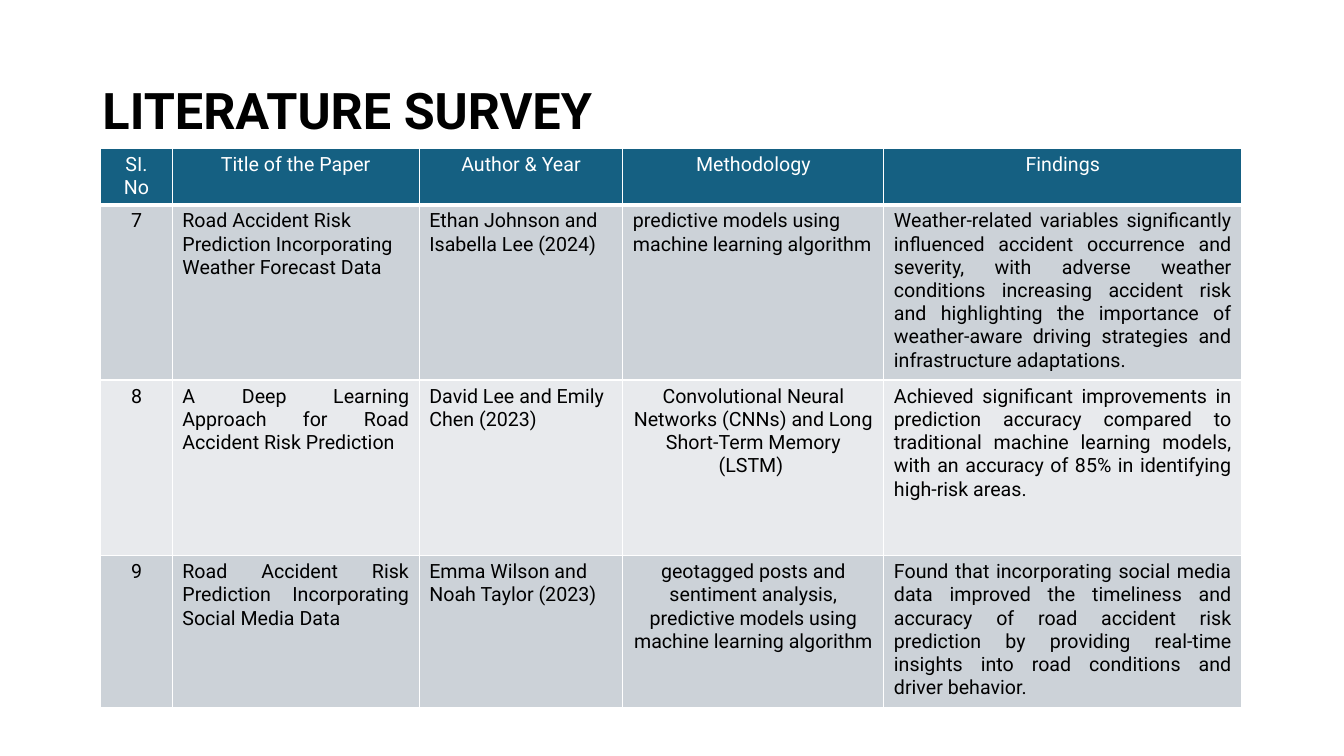
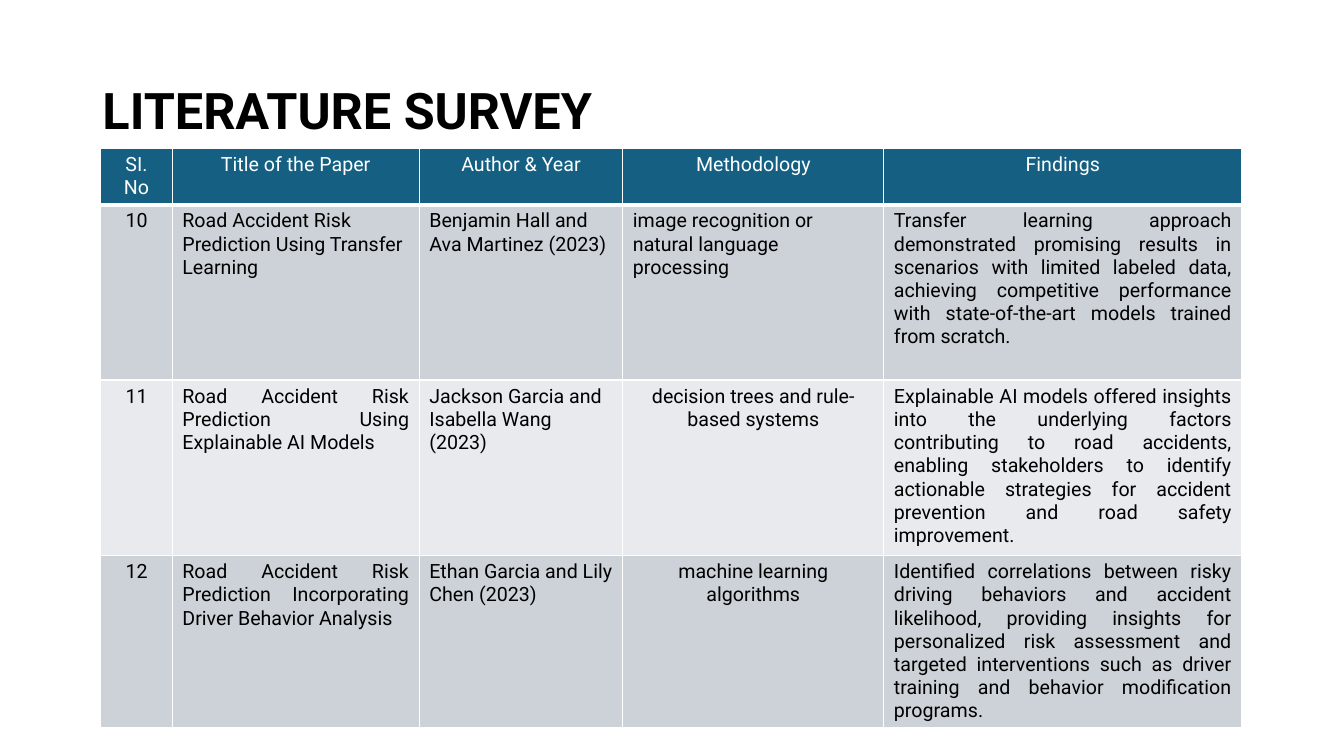
import pptx
import pptx.dml.color
import pptx.enum.text
import pptx.oxml.ns
import pptx.util
from lxml import etree

RGBColor = pptx.dml.color.RGBColor
ALIGN = pptx.enum.text.PP_ALIGN

BLACK = RGBColor(0x00, 0x00, 0x00)
WHITE = RGBColor(0xFF, 0xFF, 0xFF)
TEAL = RGBColor(0x15, 0x60, 0x82)
GREY = RGBColor(0xCC, 0xD2, 0xD8)
PALE_GREY = RGBColor(0xE8, 0xEA, 0xED)

GRID_COLUMNS, GRID_ROWS = 160, 90
TITLE_AREA = (11, 4.8, 138, 17.4)
SURVEY_CORNER = (12, 17.64)
SURVEY_WIDTHS = (8.52, 29.4, 24.24, 31.08, 42.6)
SURVEY_HEIGHTS = (5.16, 20.88, 20.88, 18.12)

HEADINGS = ("SI. No", "Title of the Paper", "Author & Year", "Methodology", "Findings")
HEADING_ALIGN = (ALIGN.CENTER,) * len(HEADINGS)
FIRST_PAPER_ALIGN = (ALIGN.CENTER, ALIGN.LEFT, ALIGN.LEFT, ALIGN.LEFT, ALIGN.JUSTIFY)
PAPER_ALIGN = (ALIGN.CENTER, ALIGN.JUSTIFY, ALIGN.LEFT, ALIGN.CENTER, ALIGN.JUSTIFY)

SURVEYS = (
    (
        ("7", "Road Accident Risk Prediction Incorporating Weather Forecast Data",
         "Ethan Johnson and Isabella Lee (2024)",
         "predictive models using machine learning algorithm",
         "Weather-related variables significantly influenced accident occurrence and "
         "severity, with adverse weather conditions increasing accident risk and "
         "highlighting the importance of weather-aware driving strategies and "
         "infrastructure adaptations."),
        ("8", "A Deep Learning Approach for Road Accident Risk Prediction",
         "David Lee and Emily Chen (2023)",
         "Convolutional Neural Networks (CNNs) and Long Short-Term Memory (LSTM) ",
         "Achieved significant improvements in prediction accuracy compared to "
         "traditional machine learning models, with an accuracy of 85% in identifying "
         "high-risk areas."),
        ("9", "Road Accident Risk Prediction Incorporating Social Media Data",
         "Emma Wilson and Noah Taylor (2023)",
         "geotagged posts and sentiment analysis, predictive models using machine "
         "learning algorithm",
         "Found that incorporating social media data improved the timeliness and "
         "accuracy of road accident risk prediction by providing real-time insights "
         "into road conditions and driver behavior."),
    ),
    (
        ("10", "Road Accident Risk Prediction Using Transfer Learning",
         "Benjamin Hall and Ava Martinez (2023)",
         "image recognition or natural language processing",
         "Transfer learning approach demonstrated promising results in scenarios with "
         "limited labeled data, achieving competitive performance with "
         "state-of-the-art models trained from scratch."),
        ("11", "Road Accident Risk Prediction Using Explainable AI Models",
         "Jackson Garcia and Isabella Wang (2023)",
         "decision trees and rule-based systems",
         "Explainable AI models offered insights into the underlying factors "
         "contributing to road accidents, enabling stakeholders to identify actionable "
         "strategies for accident prevention and road safety improvement."),
        ("12", "Road Accident Risk Prediction Incorporating Driver Behavior Analysis",
         "Ethan Garcia and Lily Chen (2023)",
         "machine learning algorithms",
         "Identified correlations between risky driving behaviors and accident "
         "likelihood, providing insights for personalized risk assessment and targeted "
         "interventions such as driver training and behavior modification programs."),
    ),
)


class SurveyDeck:
    font = "Roboto"
    title_size = 36
    cell_size = 14

    def __init__(self):
        self.deck = pptx.Presentation()
        self.deck.slide_width = pptx.util.Inches(13.33)
        self.deck.slide_height = pptx.util.Inches(7.5)
        self.slide = None

    def x(self, columns):
        return round(self.deck.slide_width * columns / GRID_COLUMNS)

    def y(self, rows):
        return round(self.deck.slide_height * rows / GRID_ROWS)

    def add_run(self, paragraph, text, size, color, bold=False):
        run = paragraph.add_run()
        run.text = text
        run.font.name = self.font
        run.font.size = pptx.util.Pt(size)
        run.font.bold = bold
        run.font.color.rgb = color

    def add_slide(self, heading):
        self.slide = self.deck.slides.add_slide(self.deck.slide_layouts[5])
        title = self.slide.shapes.title
        left, top, width, height = TITLE_AREA
        title.left, title.top = self.x(left), self.y(top)
        title.width, title.height = self.x(width), self.y(height)
        frame = title.text_frame
        frame.word_wrap = True
        frame.auto_size = pptx.enum.text.MSO_AUTO_SIZE.NONE
        frame.vertical_anchor = pptx.enum.text.MSO_ANCHOR.MIDDLE
        paragraph = frame.paragraphs[0]
        paragraph.alignment = ALIGN.LEFT
        paragraph.line_spacing = 0.9
        self.add_run(paragraph, heading, self.title_size, BLACK, bold=True)

    def add_borders(self, cell, bottom):
        properties = cell._tc.get_or_add_tcPr()
        qn = pptx.oxml.ns.qn
        for side, points in (("L", 1), ("R", 1), ("T", 1), ("B", bottom)):
            border = etree.SubElement(properties, qn(f"a:ln{side}"), w=str(pptx.util.Pt(points)))
            fill = etree.SubElement(border, qn("a:solidFill"))
            etree.SubElement(fill, qn("a:srgbClr"), val=str(WHITE))

    def add_table_row(self, cells, texts, alignments, fill, color, bottom=1):
        for cell, text, alignment in zip(cells, texts, alignments):
            self.add_borders(cell, bottom)
            cell.fill.solid()
            cell.fill.fore_color.rgb = fill
            paragraph = cell.text_frame.paragraphs[0]
            paragraph.alignment = alignment
            self.add_run(paragraph, text, self.cell_size, color)

    def add_survey(self, papers):
        left, top = SURVEY_CORNER
        survey = self.slide.shapes.add_table(
            len(papers) + 1, len(HEADINGS), self.x(left), self.y(top),
            self.x(sum(SURVEY_WIDTHS)), self.y(sum(SURVEY_HEIGHTS))).table
        for column, width in zip(survey.columns, SURVEY_WIDTHS):
            column.width = self.x(width)
        for row, height in zip(survey.rows, SURVEY_HEIGHTS):
            row.height = self.y(height)
        self.add_table_row(survey.rows[0].cells, HEADINGS, HEADING_ALIGN, TEAL, WHITE, bottom=3)
        for number, paper in enumerate(papers):
            self.add_table_row(
                survey.rows[number + 1].cells, paper,
                PAPER_ALIGN if number else FIRST_PAPER_ALIGN,
                PALE_GREY if number % 2 else GREY, BLACK)

    def save(self):
        self.deck.save("out.pptx")


def main():
    deck = SurveyDeck()
    for papers in SURVEYS:
        deck.add_slide("LITERATURE SURVEY")
        deck.add_survey(papers)
    deck.save()


if __name__ == "__main__":
    main()
